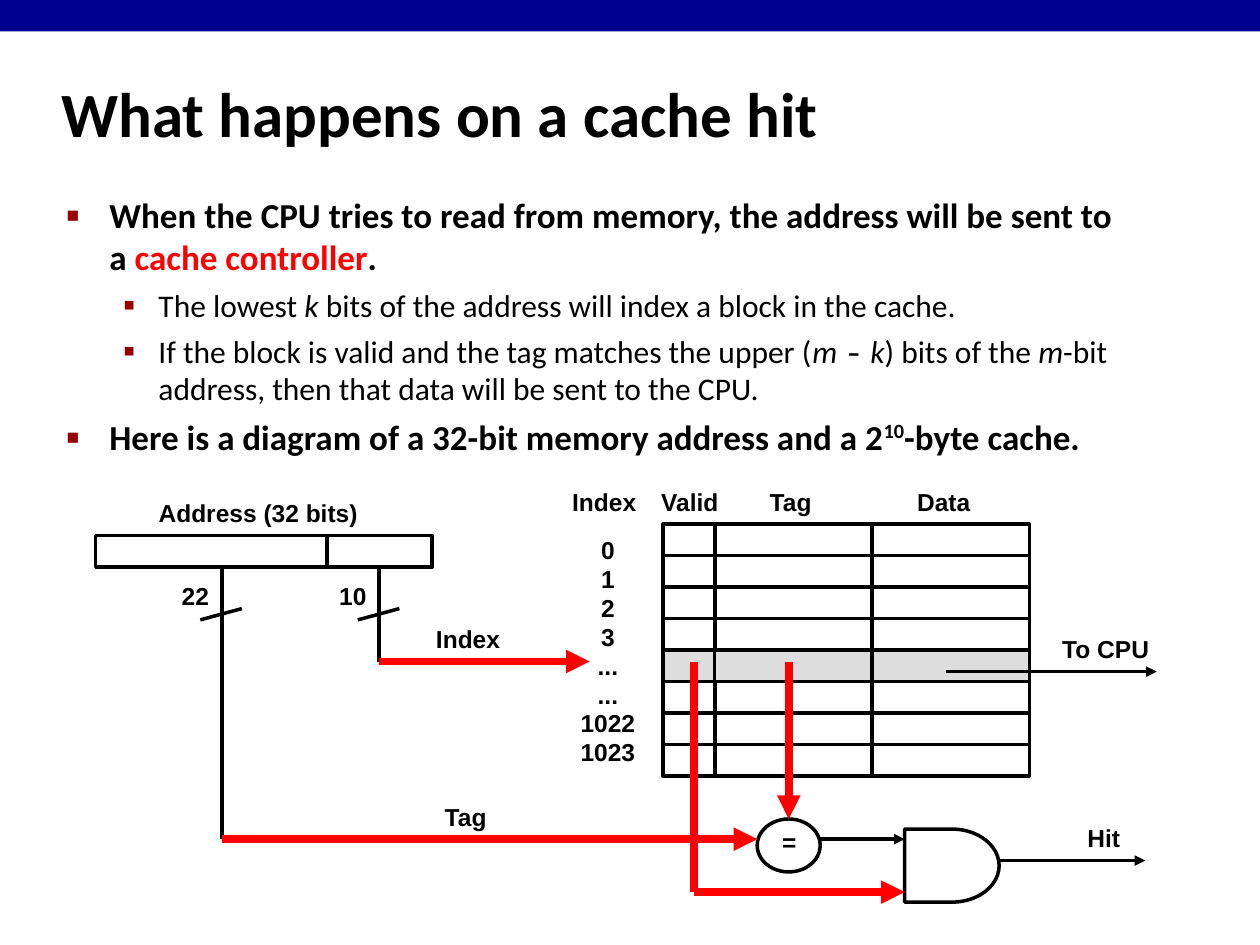
from lxml.etree import SubElement
from pptx import Presentation
from pptx.dml.color import RGBColor
from pptx.enum.shapes import MSO_CONNECTOR, MSO_SHAPE
from pptx.enum.text import MSO_ANCHOR, MSO_AUTO_SIZE, PP_ALIGN
from pptx.oxml.ns import qn
from pptx.util import Inches, Pt

COLORS = {
    "black": "000000",
    "navy": "000090",
    "red": "FF0000",
    "maroon": "990000",
    "gray": "DDDDDD",
}
# Bullet levels: left indent, hanging indent, space before, bullet, bullet size, text size, bold
LEVELS = [
    (0.34, 0.34, 5, "■", 60, 20, True),
    (0.73, 0.28, 4.5, "▪", 110, 18, False),
]
ITALIC = {"italic": True}
BULLETS = [
    (0, [("When the CPU tries to read from memory, the address will be sent to a ", {}),
         ("cache controller", {"color": "red"}), (".", {})]),
    (1, [("The lowest ", {}), ("k", ITALIC),
         (" bits of the address will index a block in the cache.", {})]),
    (1, [("If the block is valid and the tag matches the upper (", {}), ("m ", ITALIC),
         ("-", {"name": "Noto Sans Mono"}), (" k", ITALIC), (") bits of the ", {}),
         ("m", ITALIC),
         ("-bit address, then that data will be sent to the CPU.", {})]),
    (0, [("Here is a diagram of a 32-bit memory address and a 2", {}),
         ("10", {"baseline": 36}), ("-byte cache.", {})]),
]

# Cache grid
GRID_TOP, ROW_HEIGHT, ROW_COUNT, SELECTED_ROW = 4.16, 0.25, 8, 4
COLUMNS = [(5.26, 0.42), (5.67, 1.25), (6.92, 1.25)]
ROW_NAMES = ["0", "1", "2", "3", "...", "...", "1022", "1023"]

# Labels: text, left, top, width
LABELS = [
    ("Index", 4.44, 3.84, 0.71),
    ("Valid", 5.14, 3.84, 0.67),
    ("Tag", 6.0, 3.84, 0.55),
    ("Data", 7.18, 3.84, 0.62),
    ("Address (32 bits)", 1.16, 3.93, 1.78),
    ("22", 1.34, 4.59, 0.42),
    ("10", 2.59, 4.59, 0.42),
    ("Index", 3.36, 4.93, 0.71),
    ("Tag", 3.42, 6.34, 0.55),
    ("=", 6.11, 6.54, 0.31),
    ("To CPU", 8.32, 5.01, 0.91),
    ("Hit", 8.53, 6.51, 0.46),
]


def add_text(paragraph, text, size=14, name="Arial", color="black", bold=True,
             italic=False, baseline=0):
    run = paragraph.add_run()
    run.text = text
    font = run.font
    font.size, font.name, font.bold, font.italic = Pt(size), name, bold, italic
    font.color.rgb = RGBColor.from_string(COLORS[color])
    if baseline:
        run._r.get_or_add_rPr().set("baseline", str(baseline * 1000))


def add_box(slide, left, top, width, height, wrap=True, anchor=MSO_ANCHOR.MIDDLE):
    box = slide.shapes.add_textbox(Inches(left), Inches(top), Inches(width), Inches(height))
    frame = box.text_frame
    frame.word_wrap, frame.vertical_anchor = wrap, anchor
    return frame


def add_label(slide, lines, left, top, width, height=0.31):
    frame = add_box(slide, left, top, width, height, wrap=False)
    frame.auto_size = MSO_AUTO_SIZE.SHAPE_TO_FIT_TEXT
    frame.margin_left = frame.margin_right = 0
    for index, line in enumerate(lines):
        paragraph = frame.add_paragraph() if index else frame.paragraphs[0]
        paragraph.alignment, paragraph.line_spacing = PP_ALIGN.CENTER, 0.9
        if index:
            paragraph.space_before = Pt(1.4)
        add_text(paragraph, line)


def add_bullets(slide):
    frame = add_box(slide, 0.43, 1.49, 8.64, 5.44, anchor=MSO_ANCHOR.TOP)
    for index, (level, runs) in enumerate(BULLETS):
        left, hanging, before, character, bullet_size, size, bold = LEVELS[level]
        paragraph = frame.add_paragraph() if index else frame.paragraphs[0]
        paragraph.level = level
        if index:
            paragraph.space_before = Pt(before)
        properties = paragraph._p.get_or_add_pPr()
        properties.set("marL", str(Inches(left)))
        properties.set("indent", str(-Inches(hanging)))
        bullet_color = SubElement(properties, qn("a:buClr"))
        SubElement(bullet_color, qn("a:srgbClr")).set("val", COLORS["maroon"])
        SubElement(properties, qn("a:buSzPct")).set("val", str(bullet_size * 1000))
        SubElement(properties, qn("a:buFont")).set("typeface", "Arial")
        SubElement(properties, qn("a:buChar")).set("char", character)
        for text, changes in runs:
            add_text(paragraph, text, **{"size": size, "name": "Calibri", "bold": bold, **changes})


def add_figure(slide, left, top, width, height, kind=MSO_SHAPE.RECTANGLE, fill=None,
               outlined=True):
    shape = slide.shapes.add_shape(
        kind, Inches(left), Inches(top), Inches(width), Inches(height))
    shape.shadow.inherit = False
    if fill:
        shape.fill.solid()
        shape.fill.fore_color.rgb = RGBColor.from_string(COLORS[fill])
    else:
        shape.fill.background()
    if outlined:
        shape.line.color.rgb = RGBColor.from_string(COLORS["black"])
        shape.line.width = Pt(2)
    else:
        shape.line.fill.background()
    return shape


def add_line(slide, start, end, color="black", width=2, arrow=False):
    connector = slide.shapes.add_connector(
        MSO_CONNECTOR.STRAIGHT, *(Inches(value) for value in (*start, *end)))
    connector.line.color.rgb = RGBColor.from_string(COLORS[color])
    connector.line.width = Pt(width)
    if arrow:
        SubElement(connector.line._get_or_add_ln(), qn("a:tailEnd")).set("type", "triangle")
    SubElement(connector._element.spPr, qn("a:effectLst"))
    return connector


def add_signal(slide, start, end, arrow=True):
    return add_line(slide, start, end, color="red", width=4.5, arrow=arrow)


def add_cache(slide):
    for row in range(ROW_COUNT):
        fill = "gray" if row == SELECTED_ROW else None
        for left, width in COLUMNS:
            add_figure(slide, left, GRID_TOP + row * ROW_HEIGHT, width, ROW_HEIGHT, fill=fill)
    add_label(slide, ROW_NAMES, 4.51, 4.22, 0.63, 1.92)


def add_address(slide):
    add_figure(slide, 0.76, 4.25, 1.84, 0.25)
    index_field = add_figure(slide, 2.59, 4.25, 0.84, 0.25)
    add_line(slide, (1.76, 4.5), (1.76, 6.66))
    add_line(slide, (3.01, 4.5), (3.01, 5.25)).begin_connect(index_field, 2)
    # Slashes marking the bus widths
    for center in (1.76, 3.01):
        add_line(slide, (center - 0.17, 4.92), (center + 0.16, 4.83))


def add_hit_logic(slide):
    comparator = add_figure(slide, 6.01, 6.5, 0.5, 0.42, MSO_SHAPE.OVAL)
    add_figure(slide, 7.18, 6.58, 0.75, 0.58, MSO_SHAPE.FLOWCHART_DELAY)
    # Index and tag from the address, tag and valid bit from the cache
    add_signal(slide, (3.01, 5.25), (4.68, 5.25))
    add_signal(slide, (1.76, 6.66), (6.01, 6.66))
    add_signal(slide, (6.26, 5.25), (6.26, 6.5)).end_connect(comparator, 0)
    add_signal(slide, (5.51, 5.25), (5.51, 7.08), arrow=False)
    add_signal(slide, (5.51, 7.08), (7.18, 7.08))
    # Data, comparison and hit outputs
    for left, right, top in ((7.51, 9.18, 5.33), (6.51, 7.18, 6.66), (7.93, 9.09, 6.83)):
        add_line(slide, (left, top), (right, top), arrow=True)


def main():
    presentation = Presentation()
    presentation.slide_width, presentation.slide_height = Inches(10), Inches(7.5)
    slide = presentation.slides.add_slide(presentation.slide_layouts[6])

    # Header and text
    add_figure(slide, 0, 0, 10, 0.25, fill="navy", outlined=False)
    title = add_box(slide, 0.39, 0.48, 8.3, 0.83)
    add_text(title.paragraphs[0], "What happens on a cache hit", size=36, name="Calibri")
    add_bullets(slide)

    # Diagram
    add_cache(slide)
    add_address(slide)
    add_hit_logic(slide)
    for text, left, top, width in LABELS:
        add_label(slide, [text], left, top, width)

    presentation.save("out.pptx")


if __name__ == "__main__":
    main()
